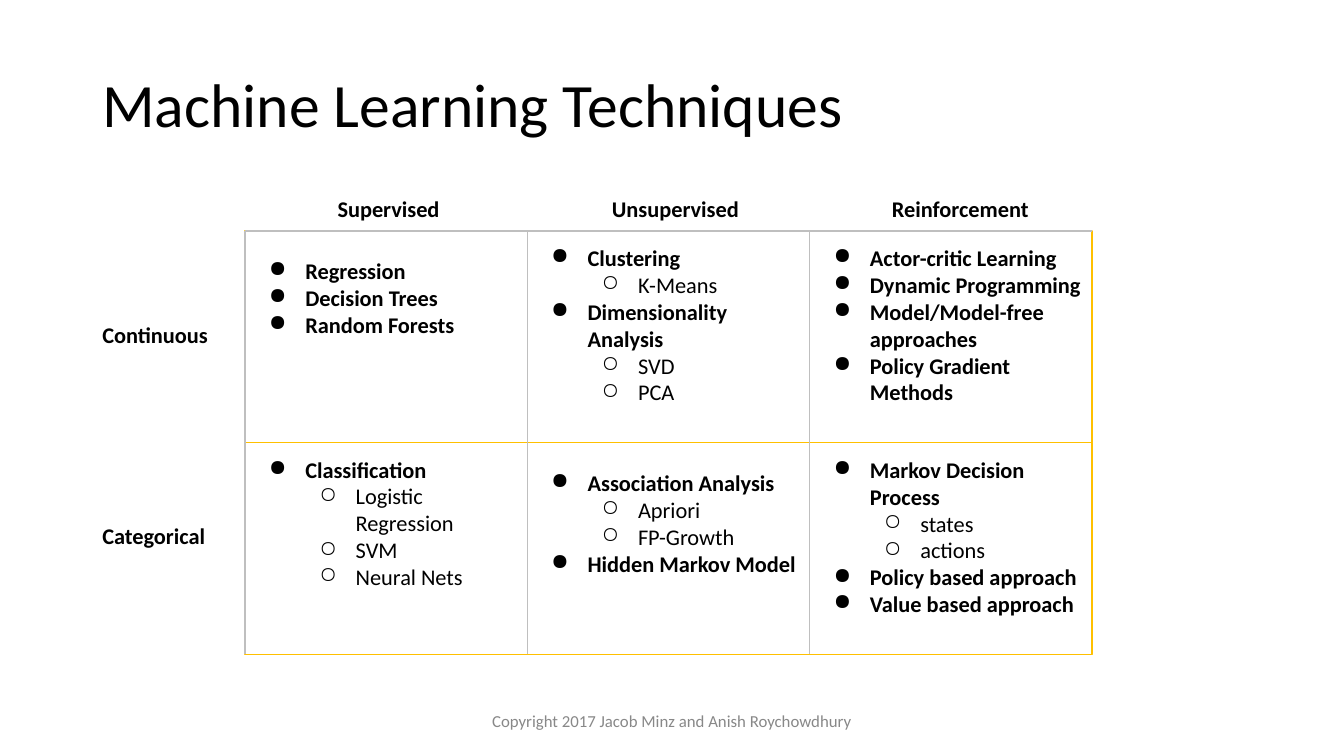
from dataclasses import dataclass

from lxml.etree import SubElement
from pptx import Presentation
from pptx.dml.color import RGBColor
from pptx.enum.shapes import MSO_CONNECTOR, MSO_SHAPE
from pptx.enum.text import MSO_ANCHOR, PP_ALIGN
from pptx.oxml.ns import qn
from pptx.util import Pt


@dataclass(frozen=True)
class Theme:
    """Colours, font and type sizes of the slide."""
    font: str = "Calibri"
    ink: str = "000000"
    paper: str = "FFFFFF"
    border: str = "FFC000"
    rule: str = "BFBFBF"
    muted: str = "888888"
    title: int = 44
    body: int = 16
    footer: int = 12


THEME = Theme()
COLUMNS = [("Supervised", 234), ("Unsupervised", 430), ("Reinforcement", 630)]
ROWS = [("Continuous", 226), ("Categorical", 369.5)]
CELLS = [
    [
        (56, [(0, "Regression"), (0, "Decision Trees"), (0, "Random Forests")]),
        (17, [(0, "Clustering"), (1, "K-Means"), (0, "Dimensionality Analysis"),
              (1, "SVD"), (1, "PCA")]),
        (17, [(0, "Actor-critic Learning"), (0, "Dynamic Programming"),
              (0, "Model/Model-free approaches"), (0, "Policy Gradient Methods")]),
    ],
    [
        (36.5, [(0, "Classification"), (1, "Logistic Regression"), (1, "SVM"),
                (1, "Neural Nets")]),
        (36.5, [(0, "Association Analysis"), (1, "Apriori"), (1, "FP-Growth"),
                (0, "Hidden Markov Model")]),
        (17, [(0, "Markov Decision Process"), (1, "states"), (1, "actions"),
              (0, "Policy based approach"), (0, "Value based approach")]),
    ],
]


def add_run(p, text, size, color, bold=False):
    """Append one styled run to a paragraph."""
    r = p.add_run()
    r.text = text
    r.font.name = THEME.font
    r.font.size = Pt(size)
    r.font.bold = bold
    r.font.color.rgb = RGBColor.from_string(color)


def add_label(s, box, text, size, color=THEME.ink, bold=False,
              anchor=MSO_ANCHOR.TOP, align=PP_ALIGN.LEFT, spacing=1.0):
    """Place a single-paragraph text box."""
    tf = s.shapes.add_textbox(*map(Pt, box)).text_frame
    tf.word_wrap = True
    tf.vertical_anchor = anchor
    p = tf.paragraphs[0]
    p.alignment = align
    p.line_spacing = spacing
    add_run(p, text, size, color, bold)


def add_bullet(p, level):
    """Give a paragraph the hanging bullet of its level."""
    p.level = level
    pPr = p._p.get_or_add_pPr()
    pPr.set("marL", str(Pt(36 * (level + 1))))
    pPr.set("indent", str(Pt(-26)))
    color = SubElement(pPr, qn("a:buClr"))
    SubElement(color, qn("a:srgbClr")).set("val", THEME.ink)
    SubElement(pPr, qn("a:buChar")).set("char", "●○"[level])


def add_cell(s, box, space_below, items):
    """Draw one bordered cell with its bulleted techniques."""
    sp = s.shapes.add_shape(MSO_SHAPE.RECTANGLE, *map(Pt, box))
    sp.shadow.inherit = False
    sp.fill.solid()
    sp.fill.fore_color.rgb = RGBColor.from_string(THEME.paper)
    sp.line.color.rgb = RGBColor.from_string(THEME.border)
    sp.line.width = Pt(1)
    tf = sp.text_frame
    tf.word_wrap = True
    tf.vertical_anchor = MSO_ANCHOR.MIDDLE
    tf.margin_bottom = Pt(3.6 + space_below)
    for i, (level, text) in enumerate(items):
        p = tf.add_paragraph() if i else tf.paragraphs[0]
        p.alignment = PP_ALIGN.LEFT
        add_bullet(p, level)
        add_run(p, text, THEME.body, THEME.ink, bold=level == 0)


def add_rule(s, x1, y1, x2, y2):
    """Draw one thin grey grid line."""
    line = s.shapes.add_connector(MSO_CONNECTOR.STRAIGHT, *map(Pt, (x1, y1, x2, y2)))
    line.line.color.rgb = RGBColor.from_string(THEME.rule)
    line.line.width = Pt(1)
    SubElement(line._element.spPr, qn("a:effectLst"))


def add_matrix(s, box):
    """Lay out the cells, grid lines and headings of the matrix."""
    x, y, w, h = box
    cw, ch = w / len(COLUMNS), h / len(ROWS)
    for i, row in enumerate(CELLS):
        for j, (space_below, items) in enumerate(row):
            add_cell(s, (x + j * cw, y + i * ch, cw, ch), space_below, items)
    add_rule(s, x, y, x + w, y)
    for j, (heading, left) in enumerate(COLUMNS):
        add_rule(s, x + j * cw, y, x + j * cw, y + h)
        add_label(s, (left, y - 29.5, 134, 26.5), heading, THEME.body, bold=True)
    for heading, top in ROWS:
        add_label(s, (x - 109, top, 114, 26.5), heading, THEME.body, bold=True)


def main():
    """Build and save the slide."""
    prs = Presentation()
    prs.slide_width, prs.slide_height = Pt(960), Pt(540)
    s = prs.slides.add_slide(prs.slide_layouts[6])
    add_label(s, (66, 24.5, 828, 104.4), "Machine Learning Techniques", THEME.title,
              anchor=MSO_ANCHOR.MIDDLE, spacing=0.9)
    add_matrix(s, (175, 165, 605, 302.4))
    add_label(s, (318, 500.5, 324, 28.8),
              "Copyright 2017 Jacob Minz and Anish Roychowdhury", THEME.footer,
              THEME.muted, anchor=MSO_ANCHOR.MIDDLE, align=PP_ALIGN.CENTER)
    prs.save("out.pptx")


if __name__ == "__main__":
    main()
